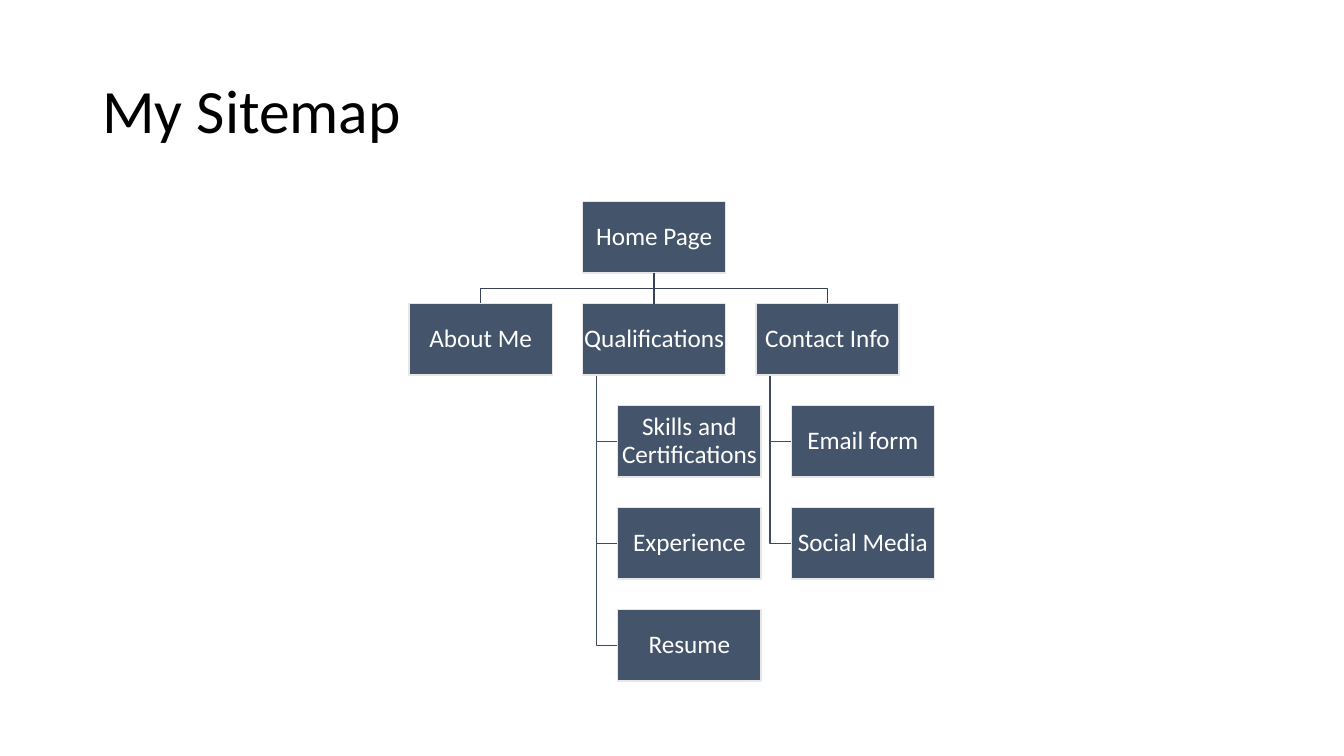
"""Build a one-slide sitemap as an organisation chart."""
from lxml.etree import SubElement
from pptx import Presentation
from pptx.dml.color import RGBColor
from pptx.enum.shapes import MSO_CONNECTOR as CONNECTOR, MSO_SHAPE as SHAPE
from pptx.enum.text import MSO_ANCHOR as ANCHOR, PP_ALIGN as ALIGN
from pptx.oxml.ns import qn
from pptx.util import Cm, Pt

COLORS = {
    "box": "44546A",
    "border": "E7E6E6",
    "upper_line": "364355",
    "lower_line": "3E4C60",
    "title": "000000",
    "label": "FFFFFF",
}
SITEMAP = [
    ("About Me", []),
    ("Qualifications", ["Skills and Certifications", "Experience", "Resume"]),
    ("Contact Info", ["Email form", "Social Media"]),
]
BOX_WIDTH, BOX_HEIGHT = 3.61, 1.8
LEFT, TOP = 10.31, 5.08
COLUMN_STEP, ROW_STEP = 4.37, 2.57
CHILD_INDENT, TRUNK_INDENT = 0.89, 0.36


def rgb(name):
    return RGBColor.from_string(COLORS[name])


def write_text(shape, text, size, color, align=ALIGN.LEFT, inset=0.25):
    frame = shape.text_frame
    frame.word_wrap = True
    frame.vertical_anchor = ANCHOR.MIDDLE
    frame.margin_left = frame.margin_right = Cm(inset)
    frame.margin_top = frame.margin_bottom = Cm(min(inset, 0.13))
    paragraph = frame.paragraphs[0]
    paragraph.alignment = align
    paragraph.line_spacing = 0.9
    run = paragraph.add_run()
    run.text = text
    run.font.name = "Calibri"
    run.font.size = Pt(size)
    run.font.color.rgb = rgb(color)


class SitemapSlide:
    def __init__(self, slide):
        self.slide = slide
        self.line_width = Pt(1)

    def style_line(self, line, color):
        line.color.rgb = rgb(color)
        line.width = self.line_width

    def title(self, text):
        shape = self.slide.shapes.add_textbox(Cm(2.33), Cm(1.01), Cm(29.21), Cm(3.68))
        write_text(shape, text, 44, "title")

    def box(self, text, left, row):
        shape = self.slide.shapes.add_shape(
            SHAPE.RECTANGLE, Cm(left), Cm(TOP + row * ROW_STEP), Cm(BOX_WIDTH), Cm(BOX_HEIGHT))
        shape.shadow.inherit = False
        shape.fill.solid()
        shape.fill.fore_color.rgb = rgb("box")
        self.style_line(shape.line, "border")
        write_text(shape, text, 18, "label", align=ALIGN.CENTER, inset=0.03)
        return shape

    def branch(self, points, color):
        start, *rest = [(Cm(x), Cm(y)) for x, y in points]
        builder = self.slide.shapes.build_freeform(*start)
        builder.add_line_segments(rest, close=False)
        shape = builder.convert_to_shape()
        shape.shadow.inherit = False
        shape.fill.background()
        self.style_line(shape.line, color)

    def link(self, parent, child):
        connector = self.slide.shapes.add_connector(CONNECTOR.STRAIGHT, 0, 0, 0, 0)
        connector.begin_connect(parent, 2)
        connector.end_connect(child, 0)
        self.style_line(connector.line, "upper_line")
        SubElement(connector._element.spPr, qn("a:effectLst"))


def main():
    presentation = Presentation()
    presentation.slide_width, presentation.slide_height = Cm(33.87), Cm(19.05)
    page = SitemapSlide(presentation.slides.add_slide(presentation.slide_layouts[6]))
    page.title("My Sitemap")

    home_left = LEFT + COLUMN_STEP
    home_center = home_left + BOX_WIDTH / 2
    home_bottom = TOP + BOX_HEIGHT
    section_top = TOP + ROW_STEP
    bend = (home_bottom + section_top) / 2
    home = page.box("Home Page", home_left, 0)

    for column, (section, children) in enumerate(SITEMAP):
        left = LEFT + column * COLUMN_STEP
        center = left + BOX_WIDTH / 2
        trunk, child_left = left + TRUNK_INDENT, left + CHILD_INDENT
        if left != home_left:
            page.branch([(home_center, home_bottom), (home_center, bend),
                         (center, bend), (center, section_top)], "upper_line")
        for row, _ in enumerate(children, 2):
            middle = TOP + row * ROW_STEP + BOX_HEIGHT / 2
            page.branch([(trunk, section_top + BOX_HEIGHT), (trunk, middle),
                         (child_left, middle)], "lower_line")
        section_box = page.box(section, left, 1)
        if left == home_left:
            page.link(home, section_box)
        for row, child in enumerate(children, 2):
            page.box(child, child_left, row)

    presentation.save("out.pptx")


if __name__ == "__main__":
    main()
